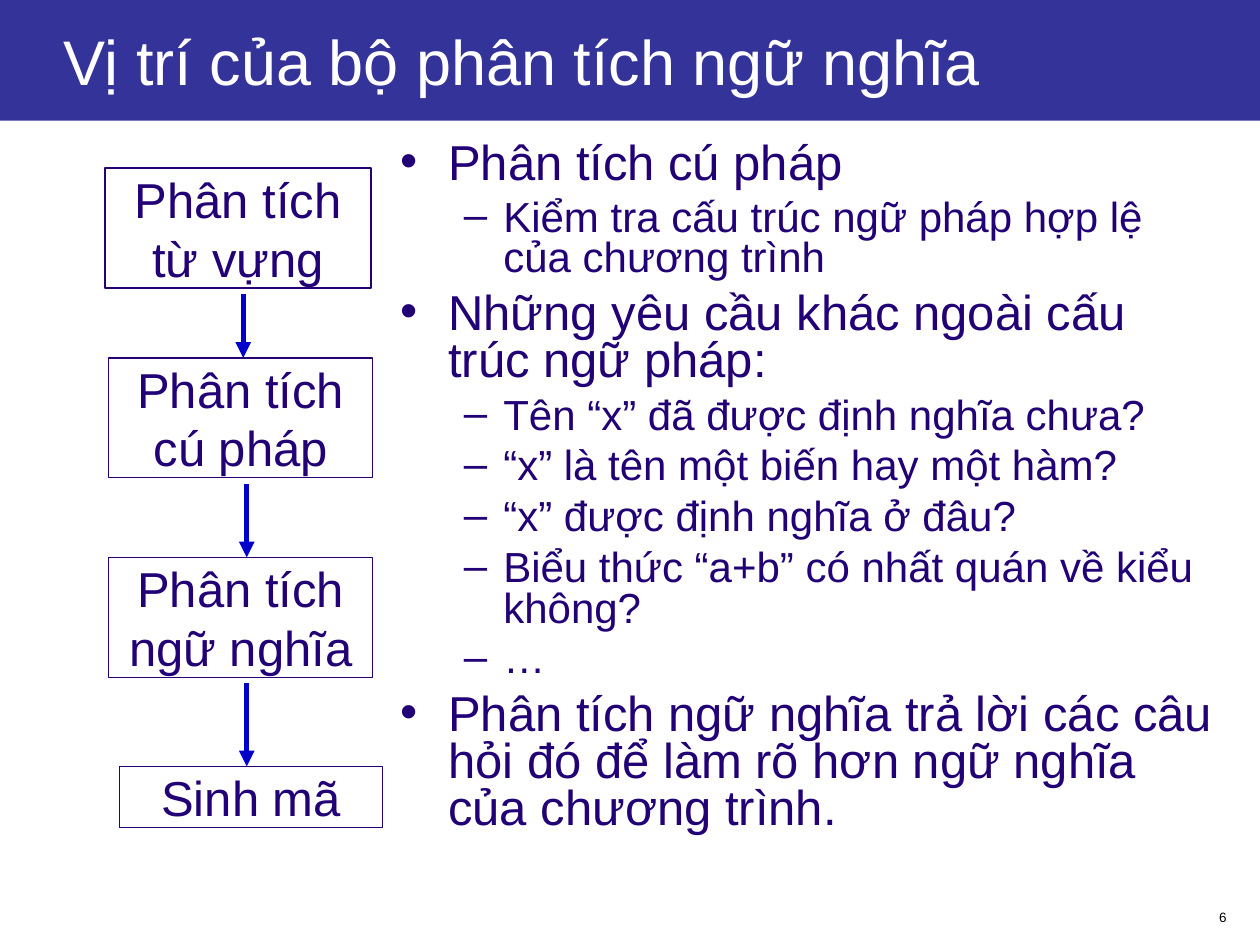
import dataclasses

import lxml.etree
import pptx
import pptx.dml.color
import pptx.enum.shapes
import pptx.enum.text
import pptx.oxml.ns
import pptx.util

Pt = pptx.util.Pt
qn = pptx.oxml.ns.qn
ALIGN = pptx.enum.text.PP_ALIGN
ANCHOR = pptx.enum.text.MSO_ANCHOR


@dataclasses.dataclass(frozen=True)
class Theme:
    """Hold the colours, font and type sizes of the slide."""
    font: str = "Arial"
    banner: str = "333399"
    title: str = "FFFFFF"
    ink: str = "220076"
    outline: str = "270076"
    arrow: str = "0000CC"
    number: str = "000000"
    title_size: float = 36
    main_size: float = 28
    sub_size: float = 24
    number_size: float = 7.7


@dataclasses.dataclass(frozen=True)
class Box:
    """Describe a rectangle in points."""
    left: float
    top: float
    width: float
    height: float

    def lengths(self):
        """Return left, top, width and height as lengths."""
        return [Pt(v) for v in (self.left, self.top, self.width, self.height)]


@dataclasses.dataclass(frozen=True)
class Level:
    """Describe one outline level."""
    bullet: str
    margin: float
    hanging: float
    size: float
    before: float


THEME = Theme()
LEVELS = [Level("•", 27, 27, THEME.main_size, 7), Level("–", 58.5, 22.5, THEME.sub_size, 6)]
OUTLINE = [
    (0, "Phân tích cú pháp"),
    (1, "Kiểm tra cấu trúc ngữ pháp hợp lệ của chương trình"),
    (0, "Những yêu cầu khác ngoài cấu trúc ngữ pháp:"),
    (1, "Tên “x” đã được định nghĩa chưa?"),
    (1, "“x” là tên một biến hay một hàm?"),
    (1, "“x” được định nghĩa ở đâu?"),
    (1, "Biểu thức “a+b” có nhất quán về kiểu không?"),
    (1, "…"),
    (0, "Phân tích ngữ nghĩa trả lời các câu hỏi đó để làm rõ hơn ngữ nghĩa của chương trình."),
]
STAGES = [
    ("Phân tích từ vựng", Box(0, 0, 152, 68.5)),
    ("Phân tích cú pháp", Box(2, 108.5, 151, 68.5)),
    ("Phân tích ngữ nghĩa", Box(2, 222.5, 151, 68.5)),
    ("Sinh mã", Box(8.5, 342, 150, 35)),
]


def rgb(code):
    """Return the colour of a hex code."""
    return pptx.dml.color.RGBColor.from_string(code)


def write(paragraph, text, *, size, color=THEME.ink, align=ALIGN.LEFT):
    """Put formatted text in a paragraph."""
    paragraph.alignment = align
    run = paragraph.add_run()
    run.text = text
    run.font.name = THEME.font
    run.font.size = Pt(size)
    run.font.color.rgb = rgb(color)


def set_frame(frame, anchor=ANCHOR.TOP, side=7.2, edge=3.6, left=None):
    """Set the wrapping, anchor and insets of a text frame."""
    frame.word_wrap = True
    frame.vertical_anchor = anchor
    frame.margin_left = Pt(side if left is None else left)
    frame.margin_right = Pt(side)
    frame.margin_top = frame.margin_bottom = Pt(edge)


def set_bullet(paragraph, level):
    """Give a paragraph the bullet and indents of its level."""
    props = paragraph._p.get_or_add_pPr()
    props.set("marL", str(Pt(level.margin)))
    props.set("indent", str(-Pt(level.hanging)))
    tint = lxml.etree.SubElement(props, qn("a:buClr"))
    lxml.etree.SubElement(tint, qn("a:srgbClr"), val=THEME.ink)
    lxml.etree.SubElement(props, qn("a:buFont"), typeface=THEME.font)
    lxml.etree.SubElement(props, qn("a:buChar"), char=level.bullet)


def place_title(slide, box, text):
    """Turn the title placeholder into the banner."""
    banner = slide.shapes.title
    banner.left, banner.top, banner.width, banner.height = box.lengths()
    banner.fill.solid()
    banner.fill.fore_color.rgb = rgb(THEME.banner)
    set_frame(banner.text_frame, anchor=ANCHOR.MIDDLE, left=36)
    banner.text_frame.auto_size = pptx.enum.text.MSO_AUTO_SIZE.NONE
    write(banner.text_frame.paragraphs[0], text, size=THEME.title_size, color=THEME.title)


def place_outline(slide, box, entries):
    """Fill a box with the two-level outline."""
    frame = slide.shapes.add_textbox(*box.lengths()).text_frame
    set_frame(frame)
    for index, (depth, text) in enumerate(entries):
        level = LEVELS[depth]
        paragraph = frame.add_paragraph() if index else frame.paragraphs[0]
        paragraph.level = depth
        set_bullet(paragraph, level)
        paragraph.line_spacing = 0.8
        paragraph.space_before = Pt(level.before if index else 0)
        write(paragraph, text, size=level.size)


def add_stage(shapes, box, text):
    """Draw one outlined compiler stage."""
    stage = shapes.add_shape(pptx.enum.shapes.MSO_SHAPE.RECTANGLE, *box.lengths())
    stage.shadow.inherit = False
    stage.fill.background()
    stage.line.color.rgb = rgb(THEME.outline)
    stage.line.width = Pt(0.75)
    set_frame(stage.text_frame, edge=0.72)
    stage.text_frame.auto_size = pptx.enum.text.MSO_AUTO_SIZE.SHAPE_TO_FIT_TEXT
    write(stage.text_frame.paragraphs[0], text, size=THEME.main_size, align=ALIGN.CENTER)


def add_arrow(shapes, x, top, bottom):
    """Draw a downward arrow."""
    arrow = shapes.add_connector(
        pptx.enum.shapes.MSO_CONNECTOR.STRAIGHT, Pt(x), Pt(top), Pt(x), Pt(bottom))
    arrow.line.color.rgb = rgb(THEME.arrow)
    arrow.line.width = Pt(3)
    lxml.etree.SubElement(arrow.line._get_or_add_ln(), qn("a:tailEnd"), type="triangle")
    lxml.etree.SubElement(arrow._element.spPr, qn("a:effectLst"))


def place_pipeline(slide, box, stages):
    """Stack the compiler stages and join them with arrows."""
    shapes = slide.shapes.add_group_shape().shapes
    placed = [(text, Box(box.left + part.left, box.top + part.top, part.width, part.height))
              for text, part in stages]
    for text, part in placed:
        add_stage(shapes, part, text)
    for (_, upper), (_, lower) in zip(placed, placed[1:]):
        add_arrow(shapes, upper.left + 79, upper.top + upper.height + 3.5, lower.top)


def place_number(slide, box, text):
    """Write the slide number at the right of its box."""
    frame = slide.shapes.add_textbox(*box.lengths()).text_frame
    set_frame(frame)
    write(frame.paragraphs[0], text, size=THEME.number_size, color=THEME.number, align=ALIGN.RIGHT)


def main():
    """Build and save the slide."""
    deck = pptx.Presentation()
    deck.slide_width, deck.slide_height = Pt(720), Pt(540)
    slide = deck.slides.add_slide(deck.slide_layouts.get_by_name("Title Only"))
    place_title(slide, Box(0, 0, 720, 69), "Vị trí của bộ phân tích ngữ nghĩa")
    place_outline(slide, Box(222, 78, 480, 444), OUTLINE)
    place_pipeline(slide, Box(60, 96, 158.5, 377), STAGES)
    place_number(slide, Box(558, 516, 150, 17), "6")
    deck.save("out.pptx")


if __name__ == "__main__":
    main()
